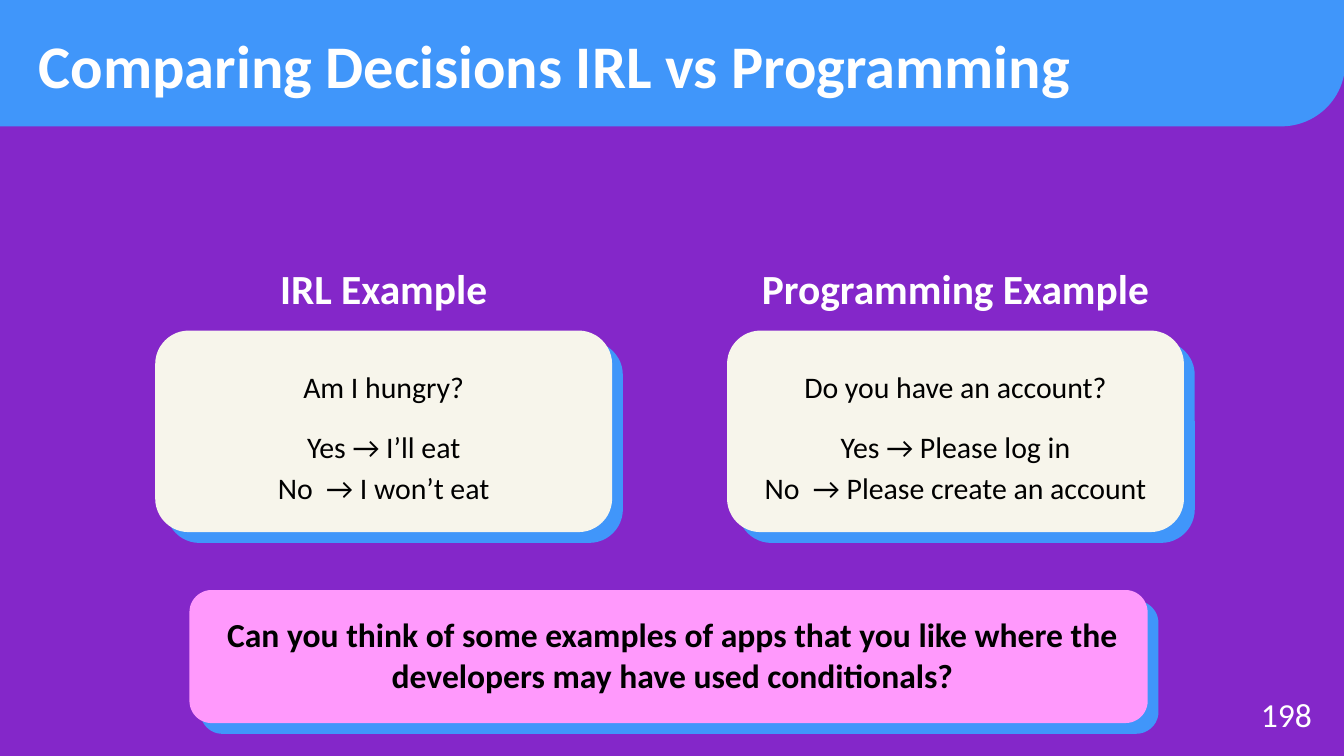
from collections import namedtuple

from pptx import Presentation
from pptx.dml.color import RGBColor
from pptx.enum.shapes import MSO_SHAPE as Preset
from pptx.enum.text import MSO_ANCHOR as Anchor, MSO_AUTO_SIZE as AutoSize, PP_ALIGN as Align
from pptx.oxml.xmlchemy import OxmlElement
from pptx.util import Inches, Pt

COLORS = {
    "purple": "8427C9",
    "blue": "4096FA",
    "cream": "F7F5EB",
    "pink": "FF99FC",
    "white": "FFFFFF",
    "black": "000000",
}
FONT = "Calibri"
COLUMNS, ROWS = 100, 56.25
CELL = Inches(0.1)
SHADOW_OFFSET = 0.8

Box = namedtuple("Box", "left top width height")


def color(name):
    """Return the named palette colour."""
    return RGBColor.from_string(COLORS[name])


def inside(box, left, top, width, height):
    """Return a box whose position is counted from the corner of another."""
    return Box(box.left + left, box.top + top, width, height)


def cells(box):
    """Turn a box in grid cells into slide lengths."""
    return [round(value * CELL) for value in box]


def add_panel(slide, preset, box, fill):
    """Add a plain filled shape without outline or shadow."""
    shape = slide.shapes.add_shape(preset, *cells(box))
    shape.shadow.inherit = False
    shape.fill.solid()
    shape.fill.fore_color.rgb = color(fill)
    shape.line.fill.background()
    return shape


def add_card(slide, box, fill):
    """Add a rounded card over a blue offset card."""
    offset = inside(box, SHADOW_OFFSET, SHADOW_OFFSET, box.width, box.height)
    add_panel(slide, Preset.ROUNDED_RECTANGLE, offset, "blue")
    add_panel(slide, Preset.ROUNDED_RECTANGLE, box, fill)


def write(shape, lines, size, ink, bold=False, align=Align.CENTER, anchor=Anchor.MIDDLE, spacing=1.0):
    """Fill a shape with evenly formatted, unbulleted paragraphs."""
    frame = shape.text_frame
    frame.text = "\n".join(lines)
    frame.word_wrap = True
    frame.auto_size = AutoSize.NONE
    frame.vertical_anchor = anchor
    frame.margin_left = frame.margin_right = frame.margin_top = frame.margin_bottom = CELL
    for paragraph in frame.paragraphs:
        properties = paragraph._p.get_or_add_pPr()
        properties.set("marL", "0")
        properties.set("indent", "0")
        properties.append(OxmlElement("a:buNone"))
        paragraph.alignment = align
        paragraph.line_spacing = spacing
        paragraph.space_before = paragraph.space_after = Pt(0)
        for run in paragraph.runs:
            run.font.name = FONT
            run.font.size = Pt(size)
            run.font.bold = bold
            run.font.color.rgb = color(ink)


def place(placeholder, box):
    """Move a placeholder to a box and in front of earlier shapes."""
    placeholder.left, placeholder.top, placeholder.width, placeholder.height = cells(box)
    placeholder.element.getparent().append(placeholder.element)
    return placeholder


def add_header(slide, box):
    """Add the title band with its rounded lower right corner."""
    band = add_panel(slide, Preset.ROUND_1_RECTANGLE, box, "blue")
    band.adjustments[0] = 0.5
    band.rotation = 180
    band.element.spPr.xfrm.set("flipH", "1")
    title = place(slide.shapes.title, inside(box, 2.1, 1, 95.7, 7.7))
    write(title, ["Comparing Decisions IRL vs Programming"], 32.4, "white", True, Align.LEFT)


def add_example(slide, box, heading, body, title, lines):
    """Add a heading above a card holding a question and its answers."""
    add_card(slide, inside(box, 0, 6, box.width, 15), "cream")
    place(heading, inside(box, 0, 0, box.width, 5.7))
    write(heading, [title], 22.2, "white", True, anchor=Anchor.BOTTOM, spacing=1.15)
    heading.text_frame.paragraphs[0].space_after = Pt(12)
    place(body, inside(box, 0, 7.3, box.width, 12.8))
    write(body, lines, 16, "black", spacing=1.15)
    body.text_frame.paragraphs[1].space_before = Pt(10)


def add_prompt(slide, box, text):
    """Add the pink discussion card with its question."""
    add_card(slide, box, "pink")
    label = slide.shapes.add_textbox(*cells(inside(box, 1.4, 0.8, box.width - 2.2, 6.3)))
    write(label, [text], 18, "black", True, anchor=Anchor.TOP)


def add_page_number(slide, box, number):
    """Add the page number at the right edge of its box."""
    write(slide.shapes.add_textbox(*cells(box)), [number], 18, "white", align=Align.RIGHT)


def main():
    """Build the slide and save it."""
    presentation = Presentation()
    presentation.slide_width = round(COLUMNS * CELL)
    presentation.slide_height = round(ROWS * CELL)
    slide = presentation.slides.add_slide(presentation.slide_layouts.get_by_name("Comparison"))
    slide.background.fill.solid()
    slide.background.fill.fore_color.rgb = color("purple")

    add_header(slide, Box(-0.2, -0.1, 100.3, 9.5))
    examples = [
        ("IRL Example", ["Am I hungry?", "Yes → I’ll eat", "No  → I won’t eat"]),
        (
            "Programming Example",
            ["Do you have an account?", "Yes → Please log in", "No  → Please create an account"],
        ),
    ]
    placeholders = list(slide.placeholders)[1:]
    for index, (title, lines) in enumerate(examples):
        heading, body = placeholders[2 * index:2 * index + 2]
        box = Box(11.55 + 42.55 * index, 18.6, 34, 21)
        add_example(slide, box, heading, body, title, lines)
    add_prompt(
        slide,
        Box(14.1, 43.9, 71.3, 9.9),
        "Can you think of some examples of apps that you like where the "
        "developers may have used conditionals?",
    )
    add_page_number(slide, Box(90.9, 51, 7.7, 4.3), "198")
    presentation.save("out.pptx")


if __name__ == "__main__":
    main()
